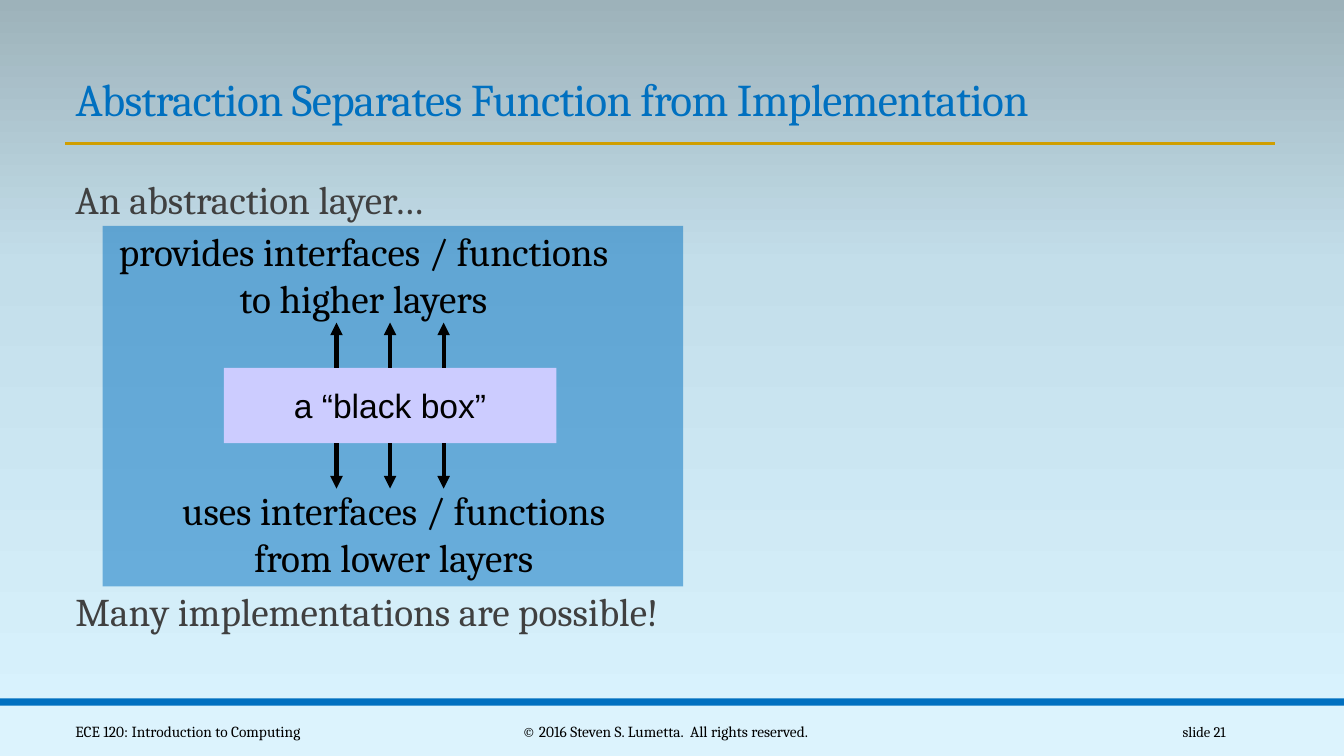
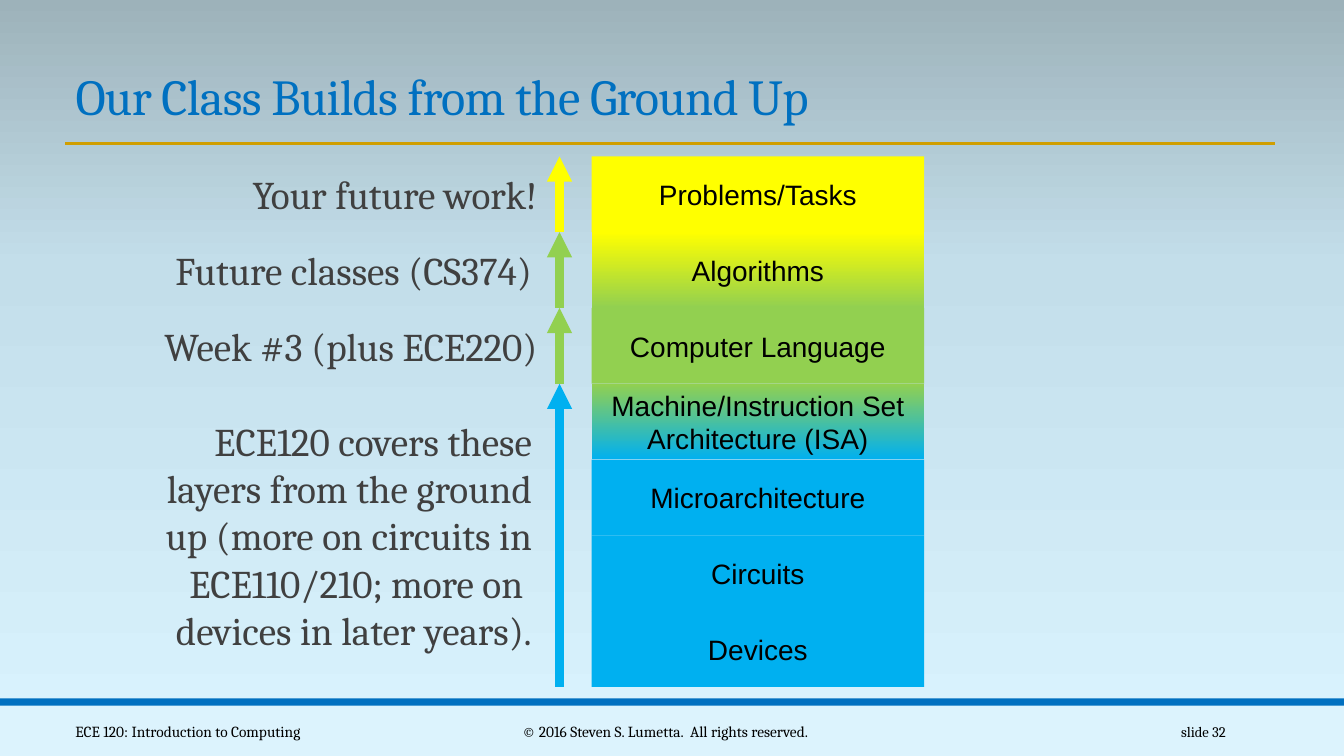
"""Build two lecture slides on abstraction layers."""
import copy
import dataclasses

import lxml.etree
import pptx
import pptx.dml.color
import pptx.enum.shapes
import pptx.enum.text
import pptx.oxml.ns
import pptx.util

Cm = pptx.util.Cm
Pt = pptx.util.Pt
qn = pptx.oxml.ns.qn
ALIGN = pptx.enum.text.PP_ALIGN
ANCHOR = pptx.enum.text.MSO_ANCHOR
RECTANGLE = pptx.enum.shapes.MSO_SHAPE.RECTANGLE
STRAIGHT = pptx.enum.shapes.MSO_CONNECTOR.STRAIGHT


@dataclasses.dataclass(frozen=True)
class Theme:
    """Colours, fonts and type sizes of the deck."""
    blue: str = "0070C0"
    gold: str = "D09E00"
    band: str = "DCF3FD"
    black: str = "000000"
    gray: str = "404040"
    lilac: str = "CCCCFF"
    yellow: str = "FFFF00"
    green: str = "92D050"
    sky: str = "00B0F0"
    background: tuple = ((0, "DAF4FF"), (0.65, "C3DEEA"), (1, "9DB2BA"))
    serif: str = "Cambria"
    sans: str = "Arial"
    body: float = 28
    box: float = 24
    layer: float = 20
    footer: float = 11
    number: float = 10.5


THEME = Theme()
WIDTH, HEIGHT = 33.87, 19.05
FOOTER_TOP, FOOTER_HEIGHT = 17.93, 1.02

FOOTERS = [
    ("ECE 120: Introduction to Computing", 1.65, 8.25, ALIGN.LEFT, THEME.footer),
    ("© 2016 Steven S. Lumetta.  All rights reserved.", 10.24, 13.06, ALIGN.CENTER, THEME.footer),
    ("slide {}", 27.51, 3.63, ALIGN.RIGHT, THEME.number),
]

ABSTRACTION = {"title": "Abstraction Separates Function from Implementation", "size": 32.4, "number": 21}
STATEMENTS = [("An abstraction layer…", 4.32), ("Many implementations are possible!", 14.7)]
PANEL = (2.59, 5.69, 14.63, 9.09)
BLACK_BOX = (5.64, 9.27, 8.38, 1.9)
INTERFACES = [
    ("provides interfaces / functions\nto higher layers", (2, 5.59, 14.32, 2.64)),
    ("uses interfaces / functions\nfrom lower layers", (2.76, 12.12, 14.32, 2.64)),
]
ARROW_GAP, ARROW_LENGTH = 1.35, 1.14

GROUND_UP = {"title": "Our Class Builds from the Ground Up", "size": 36, "number": 32}
LAYERS = [
    ("Problems/Tasks", (THEME.yellow,)),
    ("Algorithms", (THEME.green, THEME.yellow)),
    ("Computer Language", (THEME.green,)),
    ("Machine/Instruction Set Architecture (ISA)", (THEME.sky, THEME.green)),
    ("Microarchitecture", (THEME.sky,)),
    ("Circuits", (THEME.sky,)),
    ("Devices", (THEME.sky,)),
]
LAYER_LEFT, LAYER_TOP, LAYER_WIDTH, LAYER_HEIGHT = 14.91, 3.94, 8.38, 1.91
COURSES = [
    ("Your future work!", 1, THEME.yellow, 13.79),
    ("Future classes (CS374)", 1, THEME.green, 13.65),
    ("Week #3 (plus ECE220)", 1, THEME.green, 13.79),
    ("ECE120 covers these\nlayers from the ground\nup (more on circuits in\n"
     "ECE110/210; more on \ndevices in later years).", 4, THEME.sky, 13.65),
]
COURSE_ARROW, COURSE_WIDTH = 14.1, 11


def color(value):
    """Return a colour object for a hex value."""
    return pptx.dml.color.RGBColor.from_string(value)


def set_values(target, values):
    """Set each named attribute on the target."""
    for name, value in values.items():
        setattr(target, name, value)


def place(shape, box):
    """Move and size a shape in centimetres."""
    set_values(shape, dict(zip(("left", "top", "width", "height"), map(Cm, box))))


def write(shape, text, size, ink, align=ALIGN.LEFT, font=THEME.serif, frame=None, paragraph_format=None):
    """Write formatted text, one paragraph a line."""
    text_frame = shape.text_frame
    text_frame.text = text
    set_values(text_frame, {"word_wrap": True, "vertical_anchor": ANCHOR.MIDDLE, **(frame or {})})
    for paragraph in text_frame.paragraphs:
        set_values(paragraph, {"alignment": align, **(paragraph_format or {})})
        for run in paragraph.runs:
            set_values(run.font, {"name": font, "size": Pt(size)})
            run.font.color.rgb = color(ink)


def add_text(slide, box, *details, **options):
    """Add a text box and write into it."""
    write(slide.shapes.add_textbox(*map(Cm, box)), *details, **options)


def paint_gradient(fill, stops):
    """Colour the stops of an upward gradient."""
    fill.gradient_angle = 90
    for stop, (position, value) in zip(fill.gradient_stops, stops):
        stop.position = position
        stop.color.rgb = color(value)


def add_rectangle(slide, box, *colors):
    """Add a borderless rectangle, plain or with a gradient."""
    shape = slide.shapes.add_shape(RECTANGLE, *map(Cm, box))
    shape.shadow.inherit = False
    shape.line.fill.background()
    if len(colors) == 1:
        shape.fill.solid()
        shape.fill.fore_color.rgb = color(colors[0])
    else:
        shape.fill.gradient()
        paint_gradient(shape.fill, list(enumerate(colors)))
    return shape


def add_line(slide, start, end, ink, width, arrow=False):
    """Add a straight line, with an arrowhead at its end if asked."""
    line = slide.shapes.add_connector(STRAIGHT, *map(Cm, (*start, *end)))
    line.line.color.rgb = color(ink)
    line.line.width = Pt(width)
    properties = line.element.spPr
    if arrow:
        lxml.etree.SubElement(properties.find(qn("a:ln")), qn("a:tailEnd"), type="triangle")
    lxml.etree.SubElement(properties, qn("a:effectLst"))
    return line


def set_background(master):
    """Give the slide master its three-stop gradient."""
    fill = master.background.fill
    fill.gradient()
    stop_list = next(master.element.iter(qn("a:gsLst")))
    stop_list.insert(1, copy.deepcopy(stop_list[0]))
    paint_gradient(fill, THEME.background)


def add_slide(presentation, heading):
    """Add a slide with its title, rule, bands and footers."""
    slide = presentation.slides.add_slide(presentation.slide_layouts[5])
    title = slide.shapes.title
    place(title, (1.65, 1.5, 30.5, 1.8))
    write(title, heading["title"], heading["size"], THEME.blue,
          frame={"vertical_anchor": ANCHOR.BOTTOM, "auto_size": pptx.enum.text.MSO_AUTO_SIZE.NONE},
          paragraph_format={"line_spacing": 0.85})
    for properties in title.element.iter(qn("a:rPr")):
        properties.set("spc", "-50")
    add_rectangle(slide, (0, 17.78, WIDTH, 1.27), THEME.band)
    add_rectangle(slide, (0, 17.6, WIDTH, 0.18), THEME.blue)
    add_line(slide, (1.65, 3.61), (32.13, 3.61), THEME.gold, 2)
    for text, left, width, align, size in FOOTERS:
        add_text(slide, (left, FOOTER_TOP, width, FOOTER_HEIGHT),
                 text.format(heading["number"]), size, THEME.black, align)
    return slide


def build_abstraction(presentation):
    """Draw the black box between higher and lower layers."""
    slide = add_slide(presentation, ABSTRACTION)
    for text, top in STATEMENTS:
        add_text(slide, (1.65, top, 21.64, 1.4), text, THEME.body, THEME.gray)
    panel = add_rectangle(slide, PANEL, THEME.blue)
    panel_color = next(panel.element.spPr.iter(qn("a:srgbClr")))
    lxml.etree.SubElement(panel_color, qn("a:alpha"), val="50000")
    black_box = add_rectangle(slide, BLACK_BOX, THEME.lilac)
    write(black_box, "a “black box”", THEME.box, THEME.black, ALIGN.CENTER, THEME.sans)
    for text, box in INTERFACES:
        add_text(slide, box, text, THEME.body, THEME.black, ALIGN.CENTER)
    left, top, width, height = BLACK_BOX
    for site, edge, direction in ((0, top, -1), (2, top + height, 1)):
        for step in (-1, 0, 1):
            x = left + width / 2 + step * ARROW_GAP
            arrow = add_line(slide, (x, edge), (x, edge + direction * ARROW_LENGTH), THEME.black, 3, True)
            if step == 0:
                arrow.begin_connect(black_box, site)


def build_ground_up(presentation):
    """Draw the stack of layers and the courses that cover them."""
    slide = add_slide(presentation, GROUND_UP)
    for row, (text, colors) in enumerate(LAYERS):
        box = (LAYER_LEFT, LAYER_TOP + row * LAYER_HEIGHT, LAYER_WIDTH, LAYER_HEIGHT)
        write(add_rectangle(slide, box, *colors), text, THEME.layer, THEME.black, ALIGN.CENTER, THEME.sans)
    top = LAYER_TOP
    for text, rows, ink, right in COURSES:
        height = rows * LAYER_HEIGHT
        add_line(slide, (COURSE_ARROW, top + height), (COURSE_ARROW, top), ink, 6, True)
        add_text(slide, (right - COURSE_WIDTH, top, COURSE_WIDTH, height),
                 text, THEME.body, THEME.gray, ALIGN.RIGHT)
        top += height


def main():
    """Build and save the presentation."""
    presentation = pptx.Presentation()
    set_values(presentation, {"slide_width": Cm(WIDTH), "slide_height": Cm(HEIGHT)})
    set_background(presentation.slide_master)
    build_abstraction(presentation)
    build_ground_up(presentation)
    presentation.save("out.pptx")


if __name__ == "__main__":
    main()
